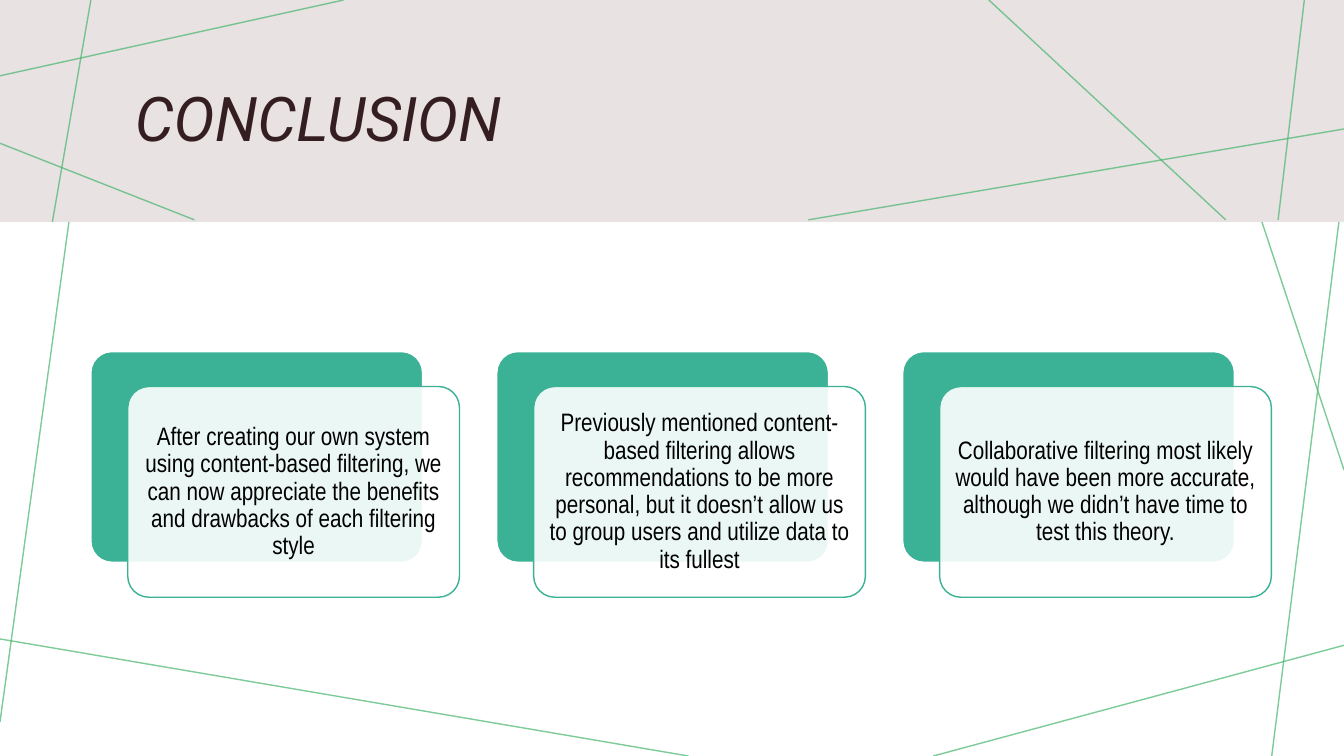
from lxml.etree import SubElement
from pptx import Presentation
from pptx.dml.color import RGBColor
from pptx.enum.shapes import MSO_CONNECTOR as Connector, MSO_SHAPE as Shape
from pptx.enum.text import MSO_ANCHOR as Anchor, PP_ALIGN as Align
from pptx.oxml.ns import qn
from pptx.util import Cm, Pt

WIDTH, HEIGHT, BAND_HEIGHT = 33.87, 19.05, 5.59
GREEN, TEAL, BAND, PLUM = "47B56D", "3BB195", "E8E2E3", "351E22"
BODY_LINES = [
    (2.51, 0, 0, 18.19),
    (17.35, HEIGHT, 0, 16.1),
    (WIDTH, 16.26, 23.52, HEIGHT),
    (WIDTH, 4.57, 32.05, HEIGHT),
    (WIDTH, 11.84, 29.95, 0),
]
BAND_LINES = [
    (8.66, 0, 0, 1.91),
    (2.29, 0, 1.32, BAND_HEIGHT),
    (4.9, 5.54, 0, 3.61),
    (WIDTH, 3.25, 20.37, 5.54),
    (30.89, 5.54, 24.92, 0),
    (32.87, 0, 32.21, 5.54),
]
CONCLUSIONS = [
    "After creating our own system using content-based filtering, we can now "
    "appreciate the benefits and drawbacks of each filtering style",
    "Previously mentioned content-based filtering allows recommendations to be more "
    "personal, but it doesn’t allow us to group users and utilize data to its fullest",
    "Collaborative filtering most likely would have been more accurate, although we "
    "didn’t have time to test this theory.",
]


def color(hex_string):
    """Turn a hex string into a colour."""
    return RGBColor.from_string(hex_string)


def set_opacity(fill_parent, percent):
    """Set the opacity of the solid fill directly inside an element."""
    solid = fill_parent.find(qn("a:solidFill"))
    SubElement(solid[0], qn("a:alpha"), val=str(percent * 1000))


def add_lines(slide, left, top, lines):
    """Draw thin translucent lines relative to a corner."""
    for x1, y1, x2, y2 in lines:
        line = slide.shapes.add_connector(
            Connector.STRAIGHT, Cm(left + x1), Cm(top + y1), Cm(left + x2), Cm(top + y2))
        line.line.color.rgb = color(GREEN)
        line.line.width = Pt(1)
        properties = line._element.spPr
        set_opacity(properties.find(qn("a:ln")), 70)
        SubElement(properties, qn("a:effectLst"))


def add_box(slide, kind, left, top, width, height, fill, outline=None):
    """Add a flat filled shape with an optional outline."""
    box = slide.shapes.add_shape(kind, Cm(left), Cm(top), Cm(width), Cm(height))
    box.shadow.inherit = False
    box.fill.solid()
    box.fill.fore_color.rgb = color(fill)
    if outline:
        box.line.color.rgb = color(outline)
        box.line.width = Pt(1)
    else:
        box.line.fill.background()
    return box


def write(box, text, font, size, ink, align, italic=None):
    """Write one vertically centred paragraph into a box."""
    frame = box.text_frame
    frame.word_wrap = True
    frame.vertical_anchor = Anchor.MIDDLE
    frame.text = text
    para = frame.paragraphs[0]
    para.alignment = align
    para.line_spacing = 0.9
    span = para.runs[0]
    span.font.name = font
    span.font.size = Pt(size)
    span.font.italic = italic
    span.font.color.rgb = color(ink)


def add_header(slide, left, top, width, height):
    """Build the tinted band with its lines and title."""
    add_box(slide, Shape.RECTANGLE, left, top, width, height, BAND)
    add_lines(slide, left, top, BAND_LINES)
    title = slide.shapes.add_textbox(
        Cm(left + 3.15), Cm(top + 1.37), Cm(width - 5.9), Cm(3.4))
    write(title, "CONCLUSION", "Roboto", 44, PLUM, Align.LEFT, italic=True)


def add_card(slide, left, top, width, height, text):
    """Build a teal card with an overlapping translucent text card."""
    back = add_box(slide, Shape.ROUNDED_RECTANGLE, left, top, width, height, TEAL, "FFFFFF")
    front = add_box(slide, Shape.ROUNDED_RECTANGLE, left + 0.93, top + 0.88,
                    width, height, "FFFFFF", TEAL)
    for card in (back, front):
        card.adjustments[0] = 0.1
    set_opacity(front._element.spPr, 90)
    frame = front.text_frame
    frame.margin_left = frame.margin_right = Cm(0.18)
    frame.margin_top = frame.margin_bottom = Cm(0.18)
    write(front, text, "Arial Narrow", 18, "000000", Align.CENTER)


def add_cards(slide, left, top, pitch):
    """Place the conclusion cards in an evenly spaced row."""
    for index, text in enumerate(CONCLUSIONS):
        add_card(slide, left + index * pitch, top, 8.36, 5.31, text)


def main():
    """Build and save the deck."""
    deck = Presentation()
    deck.slide_width, deck.slide_height = Cm(WIDTH), Cm(HEIGHT)
    page = deck.slides.add_slide(deck.slide_layouts[6])
    add_lines(page, 0, 0, BODY_LINES)
    add_header(page, 0, 0, WIDTH, BAND_HEIGHT)
    add_cards(page, 2.29, 8.86, 10.23)
    deck.save("out.pptx")


if __name__ == "__main__":
    main()
